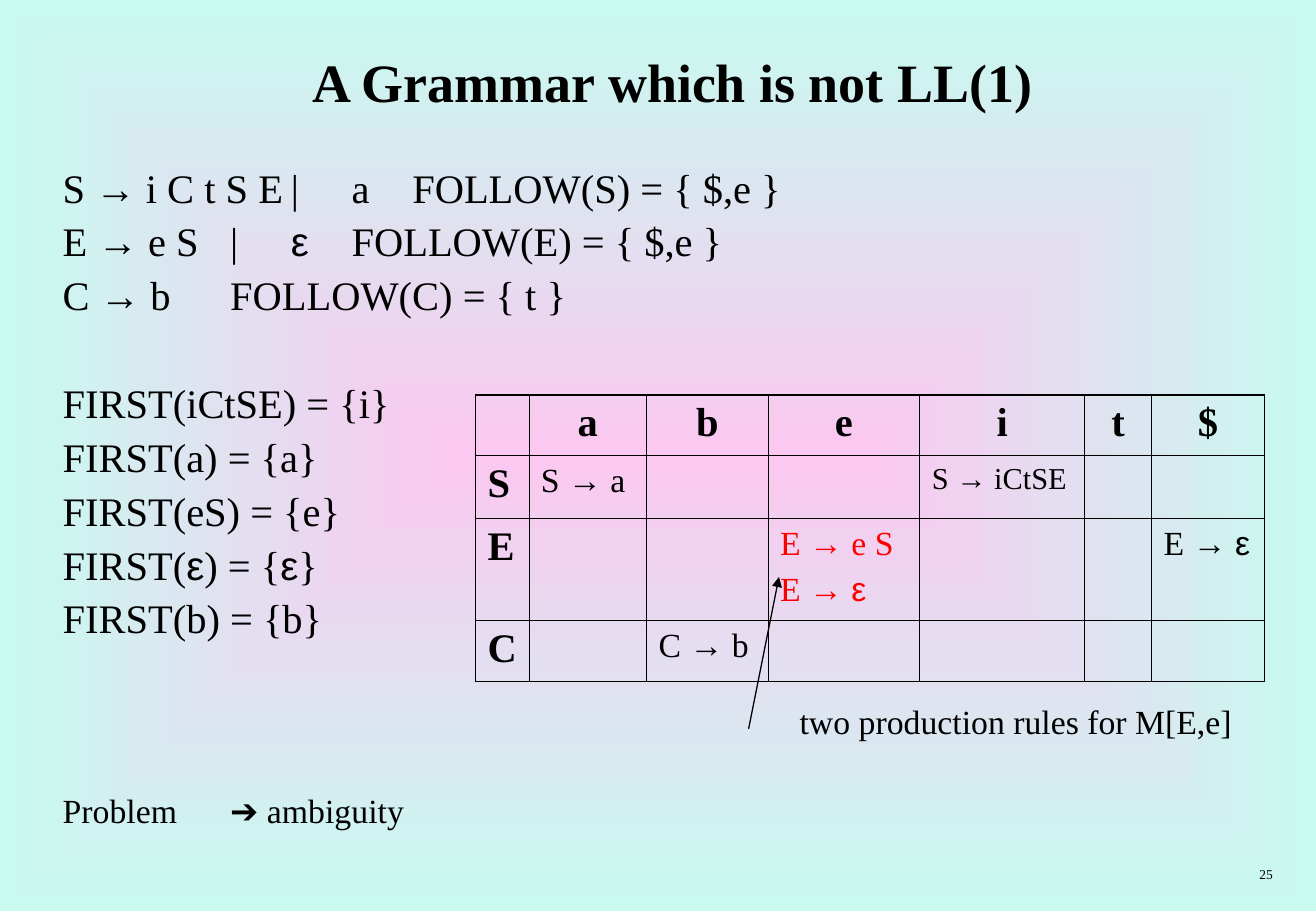
import itertools
import pptx
import pptx.dml.color
import pptx.enum.shapes
import pptx.enum.text
import pptx.oxml
import pptx.oxml.ns
import pptx.util

BLACK = pptx.dml.color.RGBColor(0x00, 0x00, 0x00)
RED = pptx.dml.color.RGBColor(0xFF, 0x00, 0x00)
PINK = pptx.dml.color.RGBColor(0xFA, 0xC8, 0xF0)
MINT = pptx.dml.color.RGBColor(0xC8, 0xFA, 0xF0)
TEXT_FONT, SYMBOL_FONT, SYMBOLS = "Times New Roman", "Arial", "→ε➔"
ALIGN = pptx.enum.text.PP_ALIGN

TITLE = "A Grammar which is not LL(1)"
PAGE_NUMBER = "25"
HANGING = 0.38
NOTE_INDENT = 6.07
# text, size, space before, tab stops, left indent, first line
BODY_LINES = [
    ("S → i C t S E\t|\ta\tFOLLOW(S) = { $,e }", 24, 0, (1.69, 2.09, 4), HANGING, -HANGING),
    ("E → e S\t|\tε\tFOLLOW(E) = { $,e }", 24, 6, (1.08, 1.39, 4), HANGING, -HANGING),
    ("C → b\tFOLLOW(C) = { t }", 24, 6, (4,), HANGING, -HANGING),
    ("FIRST(iCtSE) = {i}", 24, 38, (), HANGING, -HANGING),
    ("FIRST(a) = {a}", 24, 6, (), HANGING, -HANGING),
    ("FIRST(eS) = {e}", 24, 6, (), HANGING, -HANGING),
    ("FIRST(ε) = {ε}", 24, 6, (), HANGING, -HANGING),
    ("FIRST(b) = {b}", 24, 6, (), HANGING, -HANGING),
    ("two production rules for M[E,e]", 20, 37, (), NOTE_INDENT, 0),
    ("Problem\t➔ ambiguity", 20, 31.5, (0.7,), HANGING, -HANGING),
]
PARSING_TABLE = [
    ["", "a", "b", "e", "i", "t", "$"],
    ["S", "S → a", "", "", "S → iCtSE", "", ""],
    ["E", "", "", "E → e S\nE → ε", "", "", "E → ε"],
    ["C", "", "C → b", "", "", "", ""],
]
COLUMN_WIDTHS = [0.44, 0.97, 1, 1.25, 1.36, 0.55, 0.93]
ROW_HEIGHTS = [0.5, 0.52, 0.84, 0.5]
CONFLICT_CELL, SMALL_CELL = (2, 3), (1, 4)
INNER_BORDER, OUTER_BORDER = 0.45, 1.08

GRID = pptx.util.Inches(1) // 12
TITLE_AREA = (5, 2, 123, 12)
BODY_AREA = (5, 16, 123, 67)
TABLE_AREA = (47, 39, 78, 28)
NUMBER_AREA = (100, 85, 27, 3)
ARROW = (74, 72, 77, 57)


def on_grid(area):
    return [GRID * value for value in area]


def place(shape, area):
    shape.left, shape.top, shape.width, shape.height = on_grid(area)


def add_runs(paragraph, text, size, bold=False, color=BLACK):
    for symbolic, letters in itertools.groupby(text, lambda letter: letter in SYMBOLS):
        run = paragraph.add_run()
        run.text = "".join(letters)
        run.font.name = SYMBOL_FONT if symbolic else TEXT_FONT
        run.font.size = pptx.util.Pt(size)
        run.font.bold = bold
        run.font.color.rgb = color


def add_xml(parent, tag, **attributes):
    element = pptx.oxml.parse_xml(f"<a:{tag} {pptx.oxml.ns.nsdecls('a')}/>")
    for name, value in attributes.items():
        element.set(name, str(value))
    parent.append(element)
    return element


def paint_background(slide):
    fill = slide.background.fill
    fill.gradient()
    for stop, position, color in zip(fill.gradient_stops, (0, 1), (PINK, MINT)):
        stop.position = position
        stop.color.rgb = color
    gradient = next(slide.element.iter(pptx.oxml.ns.qn("a:gradFill")))
    gradient.remove(gradient.find(pptx.oxml.ns.qn("a:lin")))
    center = add_xml(gradient, "path", path="rect")
    add_xml(center, "fillToRect", l=50000, t=50000, r=50000, b=50000)


def fill_body(body):
    place(body, BODY_AREA)
    frame = body.text_frame
    frame.auto_size = pptx.enum.text.MSO_AUTO_SIZE.NONE
    for index, (text, size, before, stops, left, first) in enumerate(BODY_LINES):
        paragraph = frame.add_paragraph() if index else frame.paragraphs[0]
        paragraph.line_spacing = 0.9
        paragraph.space_before = pptx.util.Pt(before)
        properties = paragraph._p.get_or_add_pPr()
        properties.set("marL", str(pptx.util.Inches(left)))
        properties.set("indent", str(pptx.util.Inches(first)))
        add_xml(properties, "buNone")
        if stops:
            tabs = add_xml(properties, "tabLst")
            for stop in stops:
                add_xml(tabs, "tab", pos=pptx.util.Inches(stop), algn="l")
        add_runs(paragraph, text, size)


def draw_borders(cell, row, column):
    last_row, last_column = len(ROW_HEIGHTS) - 1, len(COLUMN_WIDTHS) - 1
    outer = {"lnL": column == 0, "lnR": column == last_column,
             "lnT": row == 0, "lnB": row == last_row}
    properties = cell._tc.get_or_add_tcPr()
    for side, is_outer in outer.items():
        width = OUTER_BORDER if is_outer else INNER_BORDER
        line = add_xml(properties, side, w=pptx.util.Pt(width))
        add_xml(add_xml(line, "solidFill"), "srgbClr", val=BLACK)
    cell.fill.background()


def fill_cell(cell, text, row, column):
    heading = row == 0 or column == 0
    size = 24 if heading else 18 if (row, column) == SMALL_CELL else 20
    color = RED if (row, column) == CONFLICT_CELL else BLACK
    for index, line in enumerate(text.split("\n")):
        paragraph = cell.text_frame.add_paragraph() if index else cell.text_frame.paragraphs[0]
        paragraph.alignment = ALIGN.CENTER if row == 0 else ALIGN.LEFT
        paragraph.space_before = pptx.util.Pt(5 if index else 0)
        add_runs(paragraph, line, size, heading, color)


def add_parsing_table(slide):
    table = slide.shapes.add_table(
        len(ROW_HEIGHTS), len(COLUMN_WIDTHS), *on_grid(TABLE_AREA)).table
    table.first_row = table.horz_banding = False
    for column, width in zip(table.columns, COLUMN_WIDTHS):
        column.width = pptx.util.Inches(width)
    for row, height in zip(table.rows, ROW_HEIGHTS):
        row.height = pptx.util.Inches(height)
    for row, texts in enumerate(PARSING_TABLE):
        for column, text in enumerate(texts):
            cell = table.cell(row, column)
            draw_borders(cell, row, column)
            fill_cell(cell, text, row, column)


def add_arrow(slide):
    arrow = slide.shapes.add_connector(
        pptx.enum.shapes.MSO_CONNECTOR.STRAIGHT, *on_grid(ARROW))
    arrow.line.color.rgb = BLACK
    arrow.line.width = pptx.util.Pt(0.75)
    add_xml(arrow.line._get_or_add_ln(), "tailEnd", type="triangle")
    add_xml(arrow._element.spPr, "effectLst")


def main():
    presentation = pptx.Presentation()
    presentation.slide_width = pptx.util.Inches(10.84)
    presentation.slide_height = pptx.util.Inches(7.5)
    slide = presentation.slides.add_slide(presentation.slide_layouts[1])
    paint_background(slide)

    title = slide.shapes.title
    place(title, TITLE_AREA)
    title.text_frame.auto_size = pptx.enum.text.MSO_AUTO_SIZE.NONE
    title.text_frame.vertical_anchor = pptx.enum.text.MSO_ANCHOR.MIDDLE
    title.text_frame.paragraphs[0].alignment = ALIGN.CENTER
    add_runs(title.text_frame.paragraphs[0], TITLE, 32, bold=True)

    fill_body(slide.placeholders[1])
    add_parsing_table(slide)
    add_arrow(slide)

    number = slide.shapes.add_textbox(*on_grid(NUMBER_AREA))
    number.text_frame.word_wrap = True
    number.text_frame.paragraphs[0].alignment = ALIGN.RIGHT
    add_runs(number.text_frame.paragraphs[0], PAGE_NUMBER, 8)
    presentation.save("out.pptx")


if __name__ == "__main__":
    main()
